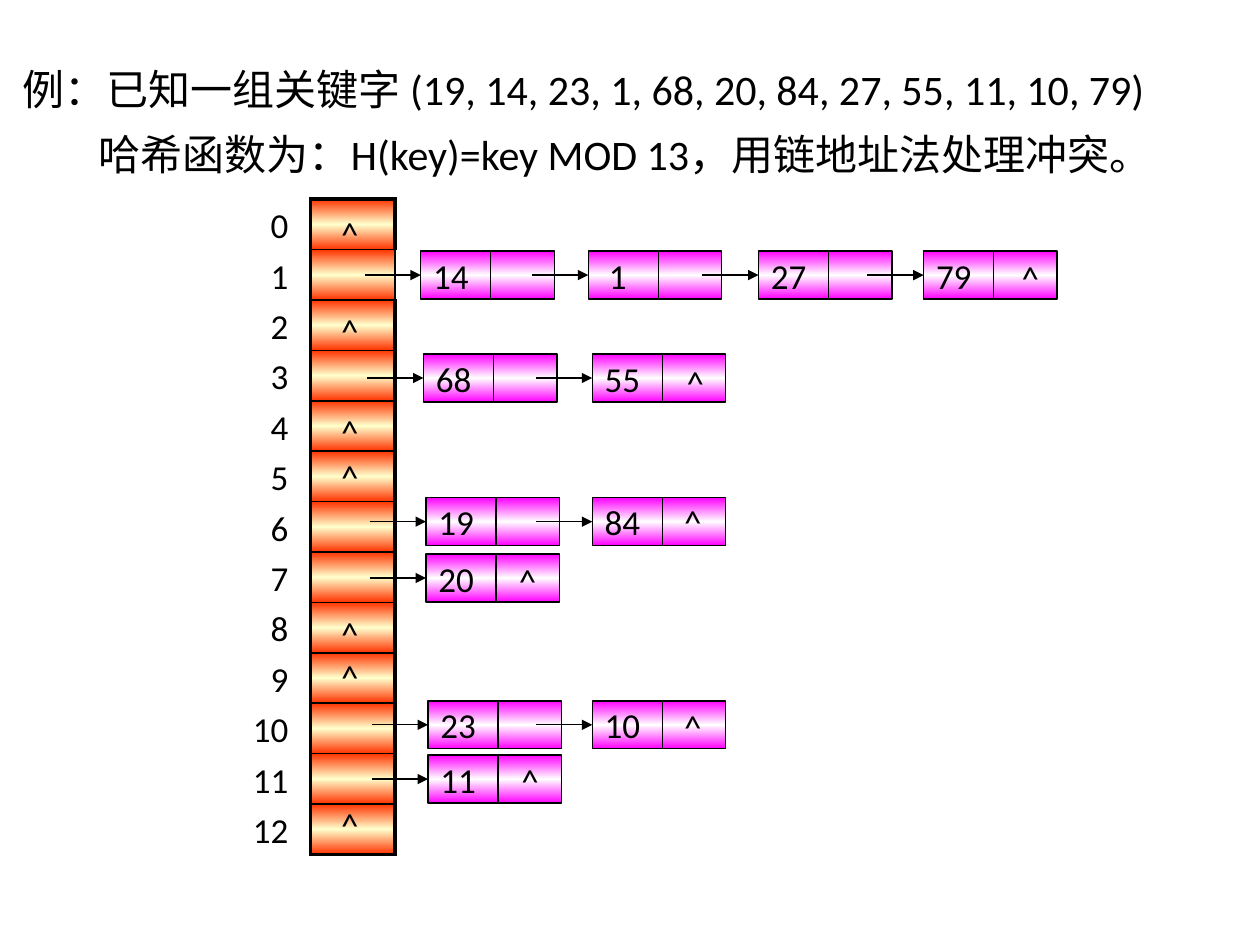
from copy import deepcopy
from pptx import Presentation
from pptx.dml.color import RGBColor
from pptx.enum.shapes import MSO_CONNECTOR as Conn, MSO_SHAPE as Shape
from pptx.enum.text import MSO_ANCHOR as Anchor, MSO_AUTO_SIZE as Auto, PP_ALIGN as Align
from pptx.oxml.ns import qn
from pptx.oxml.xmlchemy import OxmlElement as Elem
from pptx.util import Pt


def paint(fill, *tones, node=None):
    if len(tones) == 1:
        fill.solid()
        fill.fore_color.rgb = RGBColor.from_string(tones[0])
        return
    fill.gradient()
    fill.gradient_angle = 90
    stops = node.find(".//" + qn("a:gsLst"))
    stops.insert(1, deepcopy(stops[0]))
    for i, (stop, tone) in enumerate(zip(fill.gradient_stops, tones)):
        stop.position = i / (len(tones) - 1)
        stop.color.rgb = RGBColor.from_string(tone)


def write(frame, *lines, size=20, tone="000000", align=Align.LEFT,
          anchor=Anchor.TOP, space=1, left=7.2, right=7.2):
    frame.word_wrap = True
    frame.auto_size = Auto.NONE
    frame.vertical_anchor = anchor
    frame.margin_left, frame.margin_right = Pt(left), Pt(right)
    frame.margin_top = frame.margin_bottom = Pt(3.6)
    for i, line in enumerate(lines):
        para = frame.add_paragraph() if i else frame.paragraphs[0]
        para.alignment, para.line_spacing = align, space
        run = para.add_run()
        run.text = line
        run.font.name, run.font.size = "Calibri", Pt(size)
        paint(run.font.fill, tone)


deck = Presentation()
deck.slide_width, deck.slide_height = Pt(720), Pt(540)
slide = deck.slides.add_slide(deck.slide_layouts[5])
shapes = slide.shapes

title = shapes.title
title.left, title.top, title.width, title.height = Pt(5.8), Pt(32.4), Pt(676), Pt(74.2)
write(title.text_frame,
      "例：已知一组关键字 (19, 14, 23, 1, 68, 20, 84, 27, 55, 11, 10, 79)",
      "哈希函数为：H(key)=key MOD 13，用链地址法处理冲突。", size=24)
second = title.text_frame.paragraphs[1]
second.line_spacing = 1.3
second._p.get_or_add_pPr().set("marL", str(Pt(43.5)))

count, step = 13, 28.8
label = shapes.add_textbox(Pt(138.2), Pt(108), Pt(39.6), Pt(381))
write(label.text_frame, *map(str, range(count)), space=1.2, align=Align.RIGHT,
      left=0, right=13)

table = shapes.add_table(count, 1, Pt(177.5), Pt(113.8), Pt(48.2), Pt(count * step)).table
table.first_row = table.horz_banding = False
for i in range(count):
    table.rows[i].height = Pt(step)
    cell = table.cell(i, 0)
    cell.margin_top = cell.margin_bottom = 0
    paint(cell.fill, "FF3300", "FFFFCC", "FF3300", node=cell._tc)
    edges = {"L": 2.25, "R": 1 if i == 1 else 2.25,
             "T": 1 if i else 2.25, "B": 2.25 if i == count - 1 else 1}
    for n, (side, width) in enumerate(edges.items()):
        edge = Elem("a:ln" + side)
        edge.set("w", str(Pt(width)))
        ink = Elem("a:solidFill")
        black = Elem("a:srgbClr")
        black.set("val", "000000")
        ink.append(black)
        edge.append(ink)
        cell._tc.get_or_add_tcPr().insert(n, edge)

wide, high, split, reach = 76.3, 27.4, 40, 32.2
chains = [
    (143.5, [("14", 240.5), ("1", 336.2), ("27", 433.4), ("79", 527.8)]),
    (202.3, [("68", 242), ("55", 338.4)]),
    (284.4, [("19", 243.4), ("84", 338.4)]),
    (316.6, [("20", 243.4)]),
    (400.5, [("23", 244.6), ("10", 338.4)]),
    (431.5, [("11", 244.6)]),
]
for top, chain in chains:
    for key, x in chain:
        box = shapes.add_shape(Shape.RECTANGLE, Pt(x), Pt(top), Pt(wide), Pt(high))
        box.shadow.inherit = False
        paint(box.fill, "FF00FF", "FFFFFF", "FF00FF", node=box._element)
        paint(box.line.fill, "000000")
        box.line.width = Pt(0.75)
        write(box.text_frame, key, anchor=Anchor.MIDDLE, left=7.2 if len(key) > 1 else 11.7)
        mid = top + high / 2
        bar = (x + split, top, x + split, top + high)
        link = (x - reach, mid, x, mid)
        for ends in (bar, link):
            line = shapes.add_connector(Conn.STRAIGHT, *map(Pt, ends))
            paint(line.line.fill, "000000")
            line.line.width = Pt(0.75)
            props = line._element.spPr
            props.append(Elem("a:effectLst"))
            if ends is link:
                line.end_connect(box, 1)
                tip = Elem("a:tailEnd")
                tip.set("type", "triangle")
                props.find(qn("a:ln")).append(tip)

nulls = [(187.9, y) for y in (118.1, 173.5, 231.1, 257, 346.3, 370.8, 455.8)]
nulls += [(576.7, 143.3), (385.2, 203), (383.8, 282.2),
          (383.8, 399.6), (289.4, 316.1), (290.9, 430.6)]
for x, y in nulls:
    mark = shapes.add_textbox(Pt(x), Pt(y), Pt(26), Pt(31))
    write(mark.text_frame, "^")

deck.save("out.pptx")
